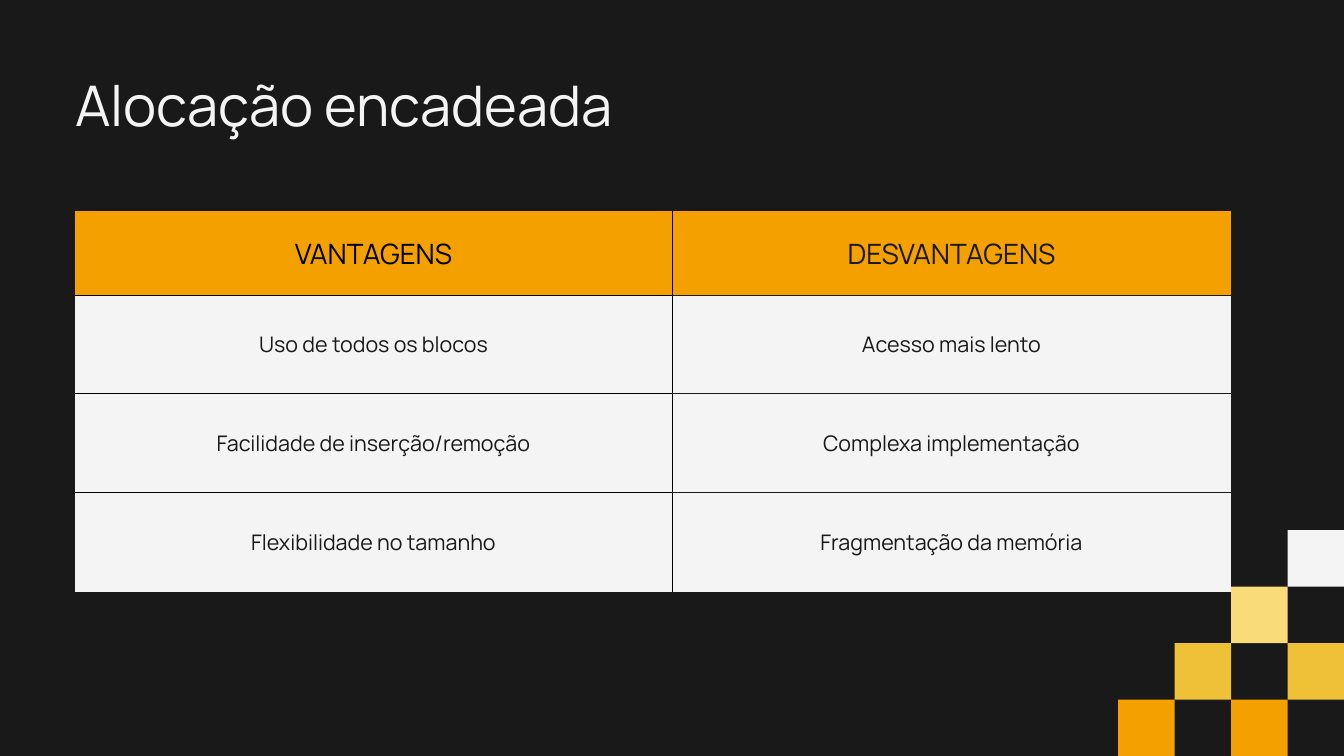
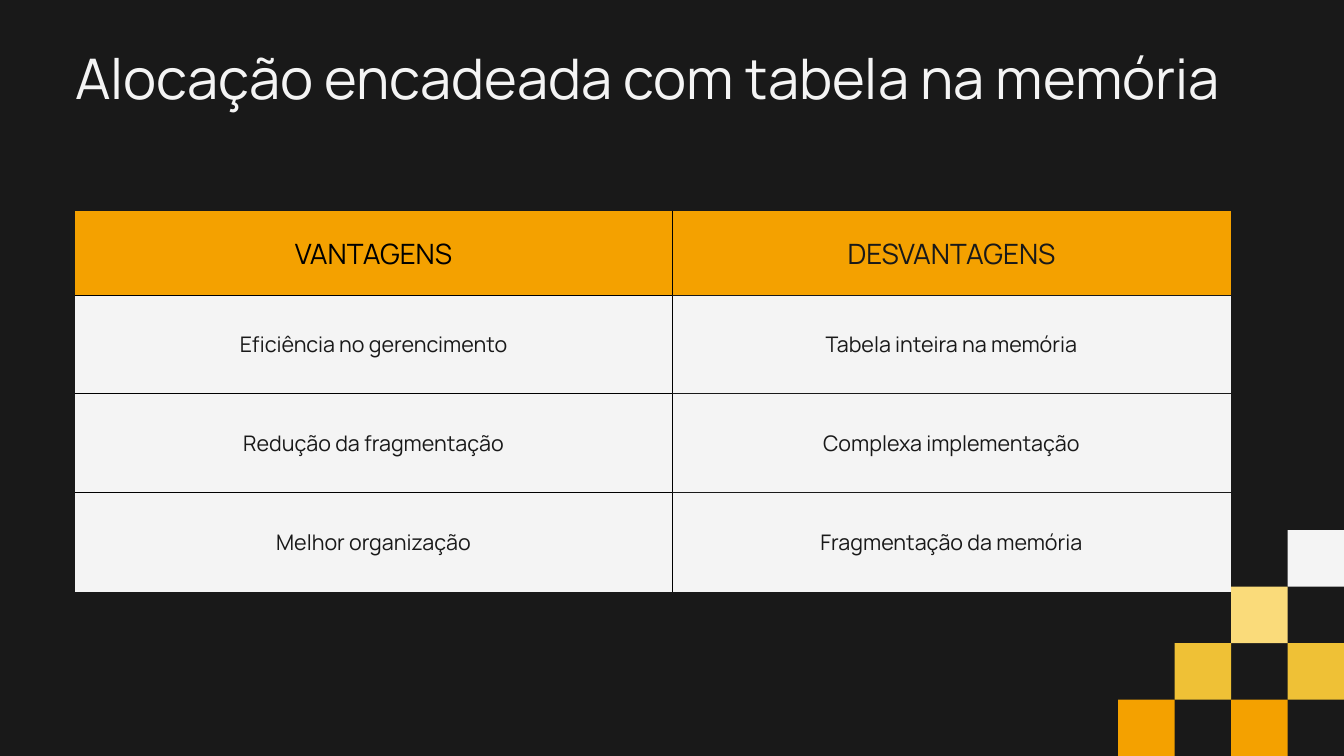
from dataclasses import dataclass
from typing import Optional

from lxml.etree import SubElement
from pptx import Presentation
from pptx.dml.color import RGBColor
from pptx.enum.shapes import MSO_SHAPE
from pptx.enum.text import MSO_ANCHOR, PP_ALIGN
from pptx.oxml.ns import qn
from pptx.util import Emu, Pt

PX = 9144
SLIDE_W, SLIDE_H = 2000, 1125
FONT = "Manrope"

BLACK = RGBColor(0x00, 0x00, 0x00)
DARK = RGBColor(0x19, 0x19, 0x19)
LIGHT = RGBColor(0xF4, 0xF4, 0xF4)
ORANGE = RGBColor(0xF4, 0xA1, 0x00)
GOLD = RGBColor(0xEF, 0xC1, 0x36)
CREAM = RGBColor(0xFA, 0xDB, 0x7A)

TILE = 84
LEFT = 112
TITLE_W, TITLE_H = 1775, 207
TABLE_TOP = 314
COL_WIDTHS = (888, 832)
ROW_HEIGHTS = (126, 145, 148, 148)
CELL_MARGIN = 21
RULE_COLORS = (BLACK, DARK)
HEADER = ("VANTAGENS", "DESVANTAGENS")


@dataclass(frozen=True)
class Tile:
    from_right: int
    from_bottom: int
    color: RGBColor


@dataclass(frozen=True)
class TextStyle:
    size: float
    leading: float
    color: RGBColor
    align: PP_ALIGN = PP_ALIGN.CENTER


@dataclass(frozen=True)
class Border:
    color: RGBColor
    width: float


@dataclass(frozen=True)
class Comparison:
    title: str
    title_top: int
    rows: tuple[tuple[str, str], ...]


TILES = (
    Tile(1, 4, LIGHT),
    Tile(2, 3, CREAM),
    Tile(3, 2, GOLD),
    Tile(4, 1, ORANGE),
    Tile(2, 1, ORANGE),
    Tile(1, 2, GOLD),
)
TITLE_STYLE = TextStyle(60, 72, LIGHT, PP_ALIGN.LEFT)
HEADER_STYLES = tuple(TextStyle(30, 42, color) for color in RULE_COLORS)
BODY_STYLE = TextStyle(23, 32.2, DARK)
COLUMN_RULE = Border(BLACK, 0.75)

COMPARISONS = (
    Comparison("Alocação encadeada", 105, (
        ("Uso de todos os blocos", "Acesso mais lento"),
        ("Facilidade de inserção/remoção", "Complexa implementação"),
        ("Flexibilidade no tamanho", "Fragmentação da memória"),
    )),
    Comparison("Alocação encadeada com tabela na memória", 65, (
        ("Eficiência no gerencimento", "Tabela inteira na memória"),
        ("Redução da fragmentação", "Complexa implementação"),
        ("Melhor organização", "Fragmentação da memória"),
    )),
)


def px(value: int) -> Emu:
    return Emu(value * PX)


def write(tf, text: str, style: TextStyle) -> None:
    p = tf.paragraphs[0]
    p.alignment = style.align
    p.line_spacing = Pt(style.leading)
    r = p.add_run()
    r.text = text
    r.font.name = FONT
    r.font.size = Pt(style.size)
    r.font.color.rgb = style.color


def add_tile(s, tile: Tile) -> None:
    sp = s.shapes.add_shape(
        MSO_SHAPE.RECTANGLE,
        px(SLIDE_W - tile.from_right * TILE),
        px(SLIDE_H - tile.from_bottom * TILE),
        px(TILE), px(TILE))
    sp.shadow.inherit = False
    sp.fill.solid()
    sp.fill.fore_color.rgb = tile.color
    sp.line.fill.background()


def add_title(s, text: str, top: int) -> None:
    tf = s.shapes.add_textbox(px(LEFT), px(top), px(TITLE_W), px(TITLE_H)).text_frame
    tf.word_wrap = True
    tf.margin_left = tf.margin_right = tf.margin_top = tf.margin_bottom = 0
    write(tf, text, TITLE_STYLE)


def set_border(cell, side: str, border: Optional[Border]) -> None:
    ln = SubElement(cell._tc.get_or_add_tcPr(), qn(f"a:ln{side}"))
    if border is None:
        ln.set("w", "0")
        SubElement(ln, qn("a:noFill"))
        return
    ln.set("w", str(Pt(border.width)))
    fill = SubElement(ln, qn("a:solidFill"))
    SubElement(fill, qn("a:srgbClr")).set("val", str(border.color))


def style_cell(cell, row: int, col: int) -> None:
    row_rule = Border(RULE_COLORS[col], 1.5)
    set_border(cell, "L", COLUMN_RULE if col > 0 else None)
    set_border(cell, "R", COLUMN_RULE if col < len(COL_WIDTHS) - 1 else None)
    set_border(cell, "T", row_rule if row > 0 else None)
    set_border(cell, "B", row_rule if row < len(ROW_HEIGHTS) - 1 else None)
    cell.fill.solid()
    cell.fill.fore_color.rgb = LIGHT if row else ORANGE
    cell.vertical_anchor = MSO_ANCHOR.MIDDLE
    cell.margin_left = cell.margin_right = px(CELL_MARGIN)
    cell.margin_top = cell.margin_bottom = px(CELL_MARGIN)


def add_comparison_table(s, rows: tuple[tuple[str, str], ...]) -> None:
    table = s.shapes.add_table(
        len(ROW_HEIGHTS), len(COL_WIDTHS), px(LEFT), px(TABLE_TOP),
        px(sum(COL_WIDTHS)), px(sum(ROW_HEIGHTS))).table
    table.first_row = table.horz_banding = False
    for column, width in zip(table.columns, COL_WIDTHS):
        column.width = px(width)
    for table_row, height in zip(table.rows, ROW_HEIGHTS):
        table_row.height = px(height)
    for row, texts in enumerate((HEADER, *rows)):
        for col, text in enumerate(texts):
            cell = table.cell(row, col)
            style_cell(cell, row, col)
            write(cell.text_frame, text, BODY_STYLE if row else HEADER_STYLES[col])


def add_comparison_slide(prs, comparison: Comparison) -> None:
    s = prs.slides.add_slide(prs.slide_layouts[6])
    s.background.fill.solid()
    s.background.fill.fore_color.rgb = DARK
    for tile in TILES:
        add_tile(s, tile)
    add_comparison_table(s, comparison.rows)
    add_title(s, comparison.title, comparison.title_top)


def main() -> None:
    prs = Presentation()
    prs.slide_width, prs.slide_height = px(SLIDE_W), px(SLIDE_H)
    for comparison in COMPARISONS:
        add_comparison_slide(prs, comparison)
    prs.save("out.pptx")


if __name__ == "__main__":
    main()
